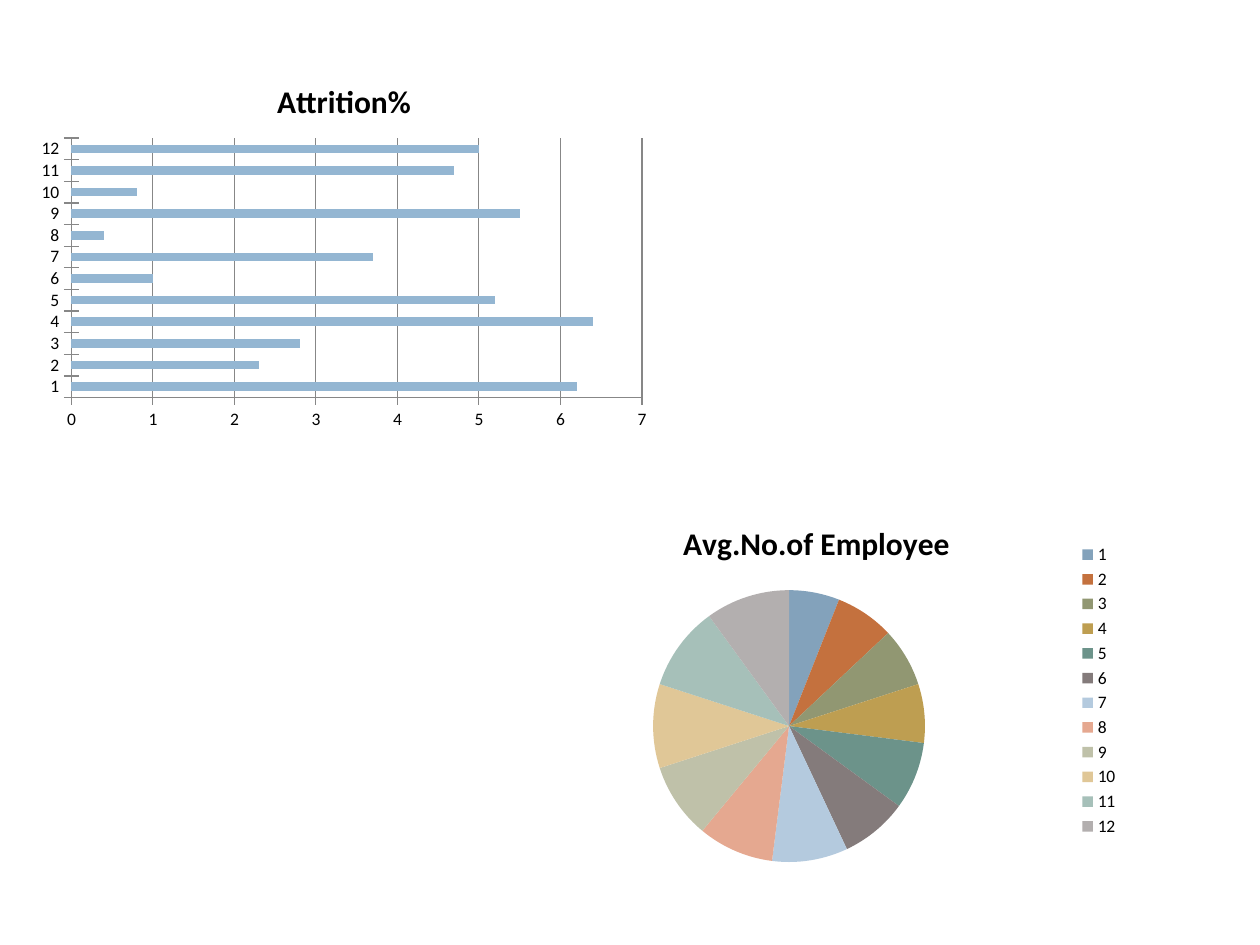
from dataclasses import dataclass

from pptx import Presentation
from pptx.chart import data as d
from pptx.dml.color import RGBColor
from pptx.enum import chart as c
from pptx.util import Pt

BLACK = RGBColor(0x00, 0x00, 0x00)
GREY = RGBColor(0x87, 0x87, 0x87)
BLUE = RGBColor(0x94, 0xB6, 0xD2)
SLICES = [RGBColor.from_string(s) for s in (
    "83A2BB", "C4713E", "919772", "BE9E51", "6C938A", "847B7B",
    "B4CADE", "E5A890", "BFC1A9", "E0C797", "A6C0B9", "B3AFAF")]
MONTHS = [str(n) for n in range(1, 13)]
LABEL = {"name": "Calibri", "size": Pt(10)}
HEAD = {"name": "Calibri", "size": Pt(18), "bold": True}


@dataclass
class Graph:
    title: str
    kind: c.XL_CHART_TYPE
    left: float
    top: float
    vals: tuple
    legend: bool = False


RATE = Graph("Attrition%", c.XL_CHART_TYPE.BAR_CLUSTERED, 16.56, 33.84,
             (6.2, 2.3, 2.8, 6.4, 5.2, 1, 3.7, 0.4, 5.5, 0.8, 4.7, 5))
STAFF = Graph("Avg.No.of Employee", c.XL_CHART_TYPE.PIE, 286.56, 286.56,
              (6, 7, 7, 7, 8, 8, 9, 9, 9, 10, 10, 10), True)


def style(font, look: dict) -> None:
    for key, val in look.items():
        setattr(font, key, val)
    font.color.rgb = BLACK


def paint(form, color: RGBColor) -> None:
    form.fill.solid()
    form.fill.fore_color.rgb = color


def rule(line) -> None:
    line.color.rgb = GREY
    line.width = Pt(0.75)


def draw(slide, graph: Graph):
    data = d.CategoryChartData()
    data.categories = MONTHS
    data.add_series(graph.title, graph.vals)
    chart = slide.shapes.add_chart(
        graph.kind, Pt(graph.left), Pt(graph.top), Pt(360), Pt(216), data).chart
    style(chart.font, LABEL)
    chart.has_title = True
    frame = chart.chart_title.text_frame
    frame.text = graph.title
    style(frame.paragraphs[0].runs[0].font, HEAD)
    chart.chart_title.include_in_layout = False
    chart.has_legend = graph.legend
    if graph.legend:
        chart.legend.position = c.XL_LEGEND_POSITION.RIGHT
        chart.legend.include_in_layout = False
    return chart


def bars(slide) -> None:
    chart = draw(slide, RATE)
    plot = chart.plots[0]
    plot.vary_by_categories = False
    plot.gap_width = 150
    paint(plot.series[0].format, BLUE)
    for axis in (chart.category_axis, chart.value_axis):
        axis.major_tick_mark = c.XL_TICK_MARK.CROSS
        rule(axis.format.line)
    axis = chart.value_axis
    for key, val in {"minimum_scale": 0, "maximum_scale": 7, "major_unit": 1,
                     "has_major_gridlines": True}.items():
        setattr(axis, key, val)
    rule(axis.major_gridlines.format.line)


def pie(slide) -> None:
    plot = draw(slide, STAFF).plots[0]
    plot.vary_by_categories = True
    for n, color in enumerate(SLICES):
        paint(plot.series[0].points[n].format, color)


def main() -> None:
    deck = Presentation()
    deck.slide_width, deck.slide_height = Pt(720), Pt(540)
    slide = deck.slides.add_slide(deck.slide_layouts[6])
    bars(slide)
    pie(slide)
    deck.save("out.pptx")


if __name__ == "__main__":
    main()
